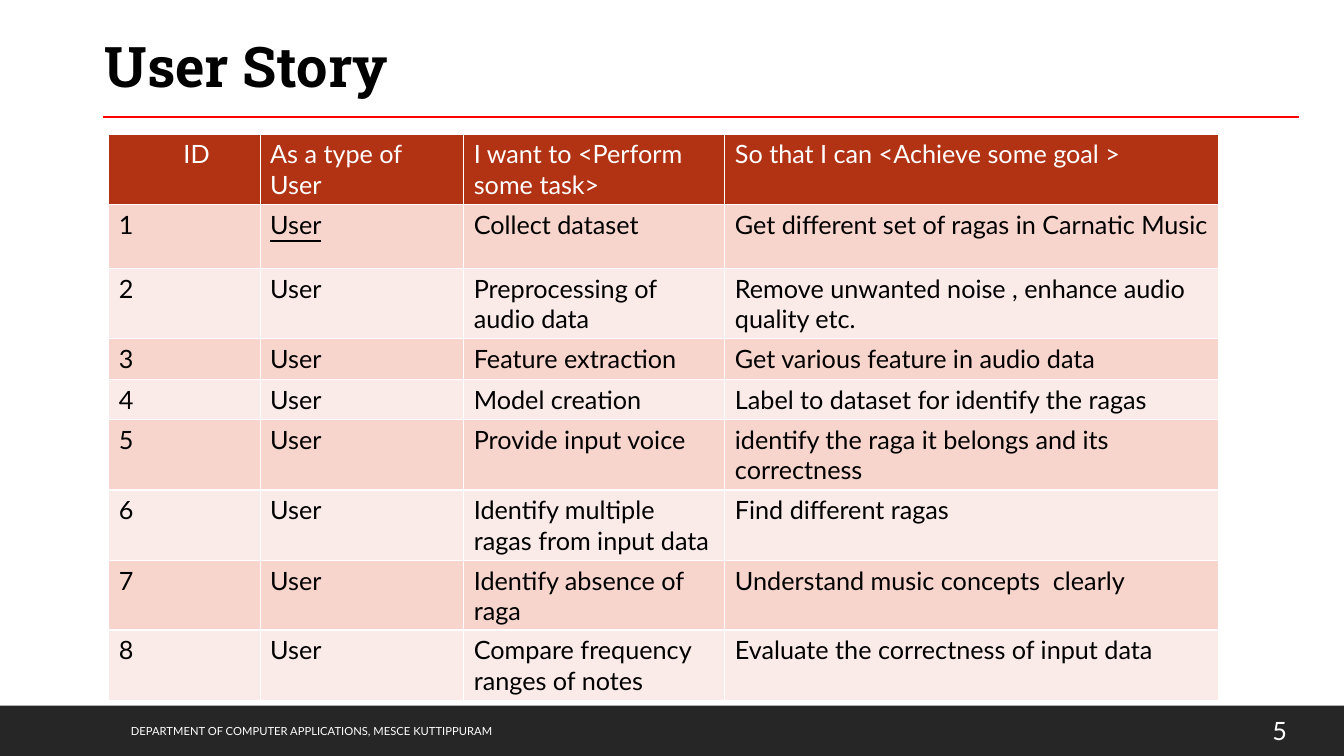
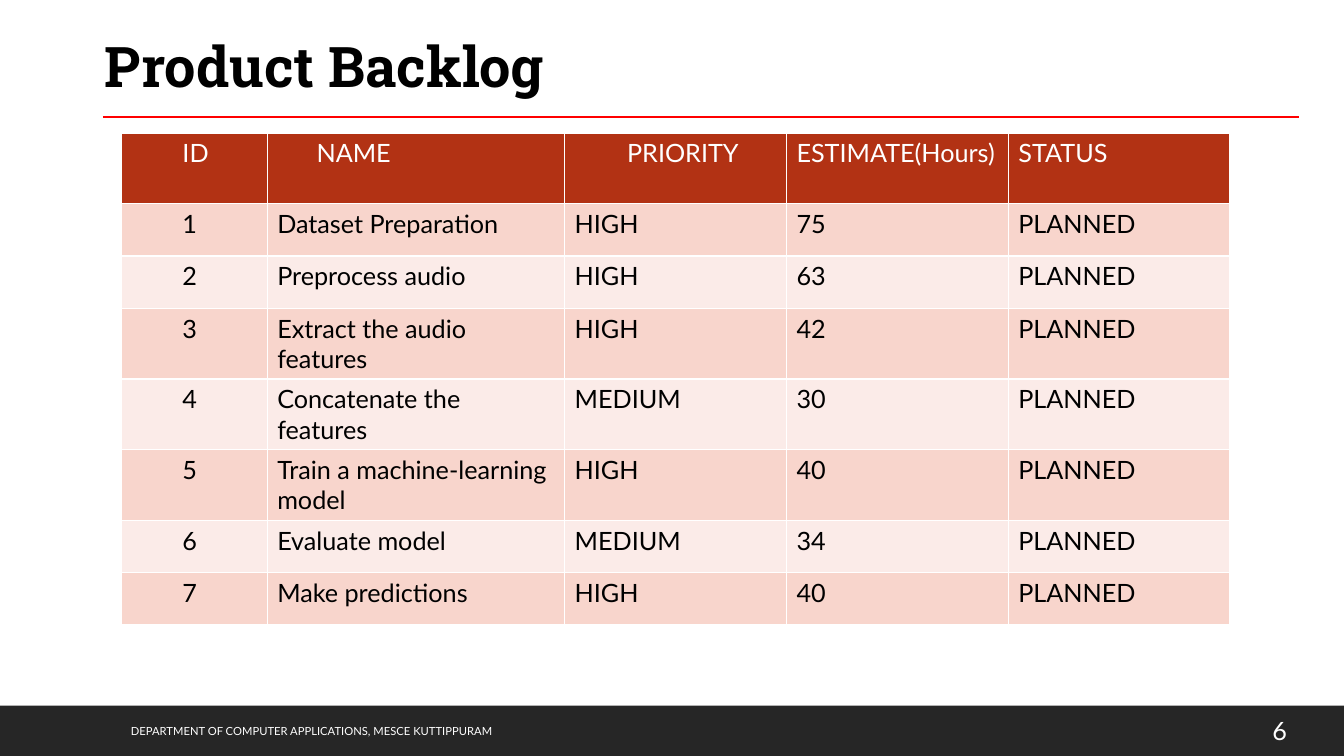
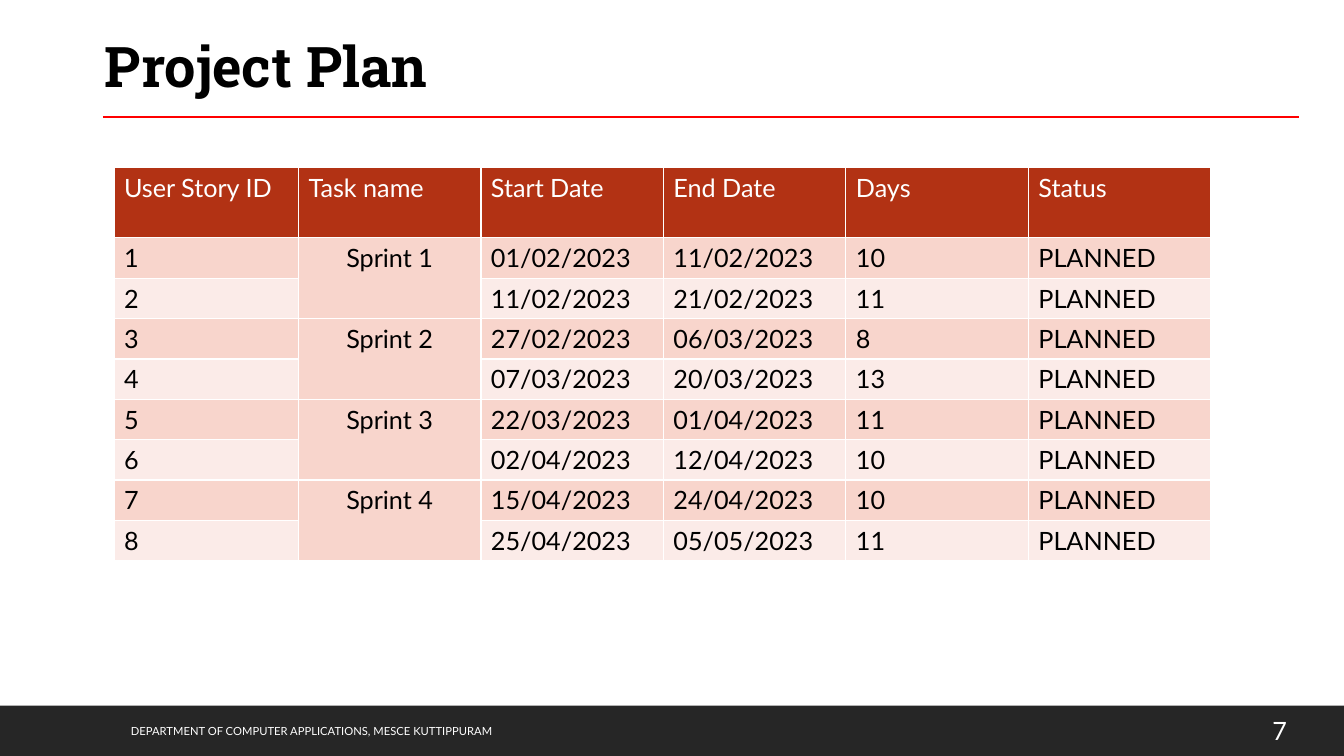
from lxml import etree
from pptx import Presentation
from pptx.dml.color import RGBColor
from pptx.enum import shapes, text
from pptx.oxml import ns
from pptx.util import Inches, Pt

WHITE, BLACK, RED, CHARCOAL = "FFFFFF", "000000", "FF0000", "262626"
HEADER, ODD, EVEN = "B23214", "F8D5CC", "FBEBE8"
BODY_FONT, TITLE_FONT = "Lato", "Roboto Slab"
FOOTER = "DEPARTMENT OF COMPUTER APPLICATIONS, MESCE KUTTIPPURAM"
CELL_MARGIN = 0.1

STORY_COLUMNS = [1.5, 2.02, 2.59, 4.9]
STORY_HEADER = ["ID", "As a type of User", "I want to <Perform some task>",
                "So that I can <Achieve some goal >"]
STORIES = [
    ("Collect dataset", "Get different set of ragas in Carnatic Music"),
    ("Preprocessing of audio data",
     "Remove unwanted noise , enhance audio quality etc."),
    ("Feature extraction", "Get various feature in audio data"),
    ("Model creation", "Label to dataset for identify the ragas"),
    ("Provide input voice", "identify the raga it belongs and its correctness"),
    ("Identify multiple ragas from input data", "Find different ragas"),
    ("Identify absence of raga", "Understand music concepts  clearly"),
    ("Compare frequency ranges of notes",
     "Evaluate the correctness of input data"),
]

BACKLOG_HEADER = ["ID", "NAME", "PRIORITY", "ESTIMATE(Hours)", "STATUS"]
BACKLOG = [
    ("Dataset Preparation", "HIGH", "75"),
    ("Preprocess audio", "HIGH", "63"),
    ("Extract the audio features", "HIGH", "42"),
    ("Concatenate the features", "MEDIUM", "30"),
    ("Train a machine-learning model", "HIGH", "40"),
    ("Evaluate model", "MEDIUM", "34"),
    ("Make predictions", "HIGH", "40"),
]

PLAN_HEADER = ["User Story ID", "Task name", "Start Date", "End Date",
               "Days", "Status"]
PLAN = [
    ("01/02/2023", "11/02/2023", "10"),
    ("11/02/2023", "21/02/2023", "11"),
    ("27/02/2023", "06/03/2023", "8"),
    ("07/03/2023", "20/03/2023", "13"),
    ("22/03/2023", "01/04/2023", "11"),
    ("02/04/2023", "12/04/2023", "10"),
    ("15/04/2023", "24/04/2023", "10"),
    ("25/04/2023", "05/05/2023", "11"),
]


# Formatting helpers
def colour(value):
    return RGBColor.from_string(value)


def format_text(frame, size, ink, font=BODY_FONT, bold=False):
    for para in frame.paragraphs:
        for span in para.runs:
            span.font.name = font
            span.font.size = Pt(size)
            span.font.bold = bold
            span.font.color.rgb = colour(ink)


def add_label(page, at, words, size):
    box = page.shapes.add_textbox(*map(Inches, at))
    frame = box.text_frame
    frame.word_wrap = True
    frame.vertical_anchor = text.MSO_ANCHOR.MIDDLE
    frame.text = words
    format_text(frame, size, WHITE)


# Shared slide furniture
def dress_layout(layout, page):
    """Draw the title rule and footer band, then move them to the layout."""
    rule = page.shapes.add_connector(
        shapes.MSO_CONNECTOR.STRAIGHT,
        Inches(1.02), Inches(1.16), Inches(12.88), Inches(1.16))
    rule.line.color.rgb = colour(RED)
    rule.line.width = Pt(1.75)
    etree.SubElement(rule._element.spPr, ns.qn("a:effectLst"))

    band = page.shapes.add_shape(shapes.MSO_SHAPE.RECTANGLE, 0, Inches(7),
                                 Inches(13.33), Inches(0.5))
    band.shadow.inherit = False
    band.fill.solid()
    band.fill.fore_color.rgb = colour(CHARCOAL)
    band.line.fill.background()

    for item in (rule, band):
        layout.shapes._spTree.append(item._element)


def add_page(deck, layout, title, number):
    page = deck.slides.add_slide(layout)
    heading = page.shapes.title
    heading.left, heading.top = Inches(0.94), Inches(0.34)
    heading.width, heading.height = Inches(7.95), Inches(0.77)
    frame = heading.text_frame
    frame.text = title
    frame.auto_size = text.MSO_AUTO_SIZE.NONE
    frame.vertical_anchor = text.MSO_ANCHOR.TOP
    frame.paragraphs[0].alignment = text.PP_ALIGN.LEFT
    frame.paragraphs[0].line_spacing = 0.9
    format_text(frame, 40, BLACK, TITLE_FONT, bold=True)

    add_label(page, (1.2, 7.05, 7.46, 0.4), FOOTER, 8)
    add_label(page, (12.52, 7.05, 0.48, 0.4), str(number), 18)
    return page


# Tables
def add_borders(cell):
    properties = cell._tc.get_or_add_tcPr()
    for place, side in enumerate(("a:lnL", "a:lnR", "a:lnT", "a:lnB")):
        line = etree.Element(ns.qn(side), w=str(Pt(1)))
        fill = etree.SubElement(line, ns.qn("a:solidFill"))
        etree.SubElement(fill, ns.qn("a:srgbClr"), val=WHITE)
        properties.insert(place, line)


def fill_cell(cell, words, fill, ink, indent=0):
    cell.text = words
    cell.margin_left = Inches(CELL_MARGIN + indent)
    cell.margin_right = Inches(CELL_MARGIN)
    cell.fill.solid()
    cell.fill.fore_color.rgb = colour(fill)
    format_text(cell.text_frame, 18, ink)
    add_borders(cell)


def add_grid(page, left, top, columns, heights, rows, header=None,
             header_indents=(), id_indent=0):
    """Add a striped table; the row ID in the first column sets the stripe."""
    lines = ([header] if header else []) + rows
    table = page.shapes.add_table(
        len(lines), len(columns), Inches(left), Inches(top),
        Inches(sum(columns)), Inches(sum(heights))).table
    table.first_row = header is not None
    table.horz_banding = False
    for column, width in zip(table.columns, columns):
        column.width = Inches(width)
    for row, height in zip(table.rows, heights):
        row.height = Inches(height)

    for r, line in enumerate(lines):
        is_header = line is header
        if is_header:
            fill, ink, indents = HEADER, WHITE, dict(enumerate(header_indents))
        else:
            fill = ODD if int(line[0]) % 2 else EVEN
            ink, indents = BLACK, {0: id_indent}
        for c, words in enumerate(line):
            fill_cell(table.cell(r, c), words, fill, ink, indents.get(c, 0))
    return table


def add_user_stories(page):
    rows = [[str(i), "User", *story] for i, story in enumerate(STORIES, 1)]
    table = add_grid(page, 1.08, 1.33, STORY_COLUMNS,
                     [0.7, 0.63, 0.7, 0.4, 0.4, 0.7, 0.7, 0.68], rows[:-1],
                     STORY_HEADER, header_indents=[0.64])
    table.cell(1, 1).text_frame.paragraphs[0].runs[0].font.underline = True
    add_grid(page, 1.08, 6.25, STORY_COLUMNS, [0.7], rows[-1:])


def add_backlog(page):
    rows = [[str(i), *task, "PLANNED"] for i, task in enumerate(BACKLOG, 1)]
    add_grid(page, 1.2, 1.32, [1.45, 2.95, 2.2, 2.2, 2.2],
             [0.7, 0.52, 0.52, 0.7, 0.7, 0.7, 0.52, 0.52], rows,
             BACKLOG_HEADER, header_indents=[0.51, 0.39, 0.52],
             id_indent=0.51)


def add_plan(page):
    rows = [[str(i), f"Sprint {(i + 1) // 2}" if i % 2 else "", *dates,
             "PLANNED"] for i, dates in enumerate(PLAN, 1)]
    table = add_grid(page, 1.13, 1.66, [1.83] + [1.81] * 5,
                     [0.7] + [0.4] * len(rows), rows, PLAN_HEADER)
    # Each sprint spans two stories
    for r in range(1, len(rows), 2):
        sprint = table.cell(r, 1)
        sprint.merge(table.cell(r + 1, 1))
        sprint.text_frame.paragraphs[0].alignment = text.PP_ALIGN.CENTER


def main():
    deck = Presentation()
    deck.slide_width, deck.slide_height = Inches(13.33), Inches(7.5)
    layout = deck.slide_layouts.get_by_name("Title Only")
    contents = [("User Story", add_user_stories),
                ("Product Backlog", add_backlog),
                ("Project Plan", add_plan)]
    for number, (title, add_content) in enumerate(contents, 5):
        page = add_page(deck, layout, title, number)
        add_content(page)
    dress_layout(layout, page)
    deck.save("out.pptx")


if __name__ == "__main__":
    main()
